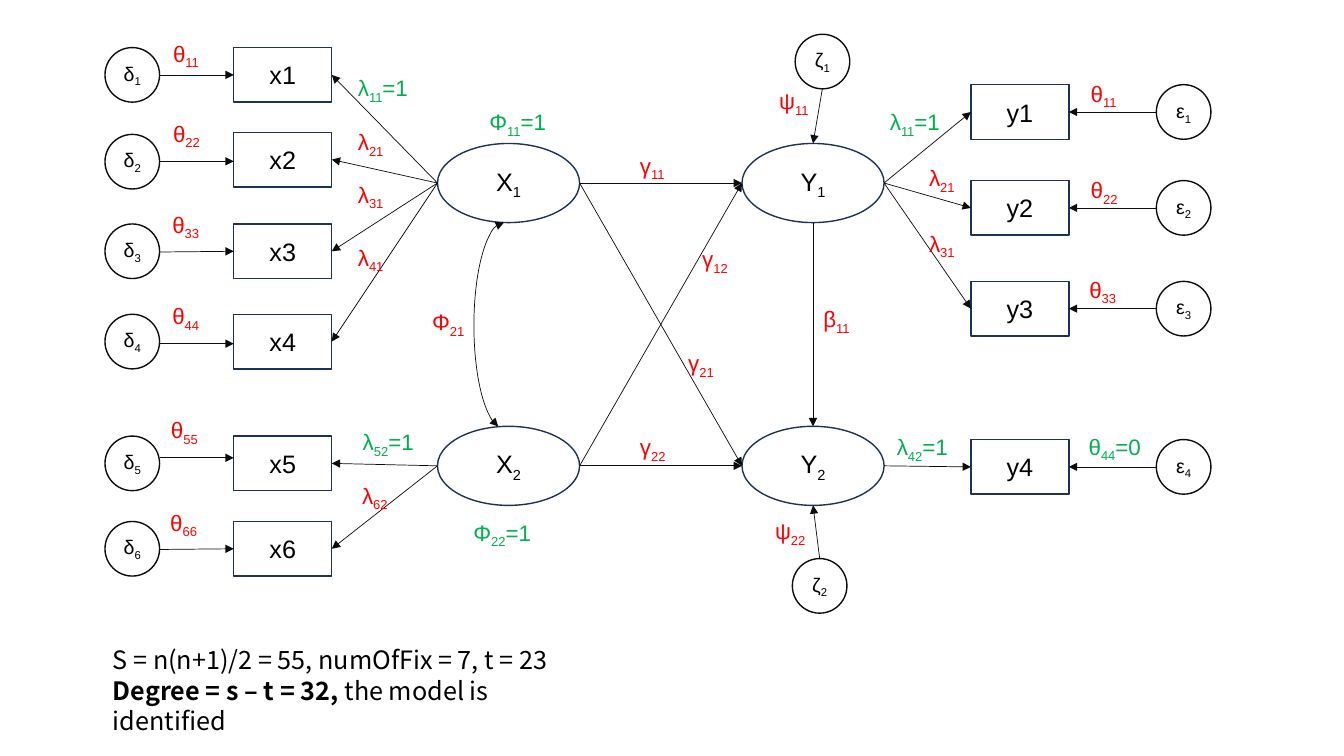
from lxml import etree
from pptx import Presentation
from pptx.dml.color import RGBColor
from pptx.enum.shapes import MSO_CONNECTOR as Link, MSO_SHAPE as Preset
from pptx.enum.text import MSO_ANCHOR as Anchor, MSO_AUTO_SIZE as Fit, PP_ALIGN as Align
from pptx.oxml.ns import qn
from pptx.util import Pt

COLORS = {"ink": "000000", "edge": "0D0D0D", "navy": "1E3256",
          "free": "FF0000", "fixed": "00B050"}
LEFT, RIGHT = 1, 3
BOX_W, BOX_H, CIRCLE = 70, 39, 39
OVAL_W, OVAL_H = 101.5, 56.5


class PathDiagram:
    """Holds the fonts and the slide, and draws the parts of a path diagram."""

    def __init__(self, slide, font, note_font):
        self.slide, self.shapes = slide, slide.shapes
        self.font, self.note_font = font, note_font

    def color(self, name):
        return RGBColor.from_string(COLORS[name])

    def style(self, run, size, color, font=None, bold=False):
        run.font.name, run.font.size = font or self.font, Pt(size)
        run.font.bold = bold
        run.font.color.rgb = self.color(color)

    def term(self, paragraph, parts, size, color):
        for position, part in enumerate(parts.split("|")):
            run = paragraph.add_run()
            run.text = part
            self.style(run, size, color)
            if position == 1:
                run.font._element.set("baseline", "-25000")

    def outline(self, shape, color, weight):
        shape.shadow.inherit = False
        shape.fill.background()
        shape.line.color.rgb = self.color(color)
        shape.line.width = Pt(weight)

    def node(self, preset, parts, left, top, width, height, size=18, edge="navy"):
        node = self.shapes.add_shape(preset, Pt(left), Pt(top), Pt(width), Pt(height))
        self.outline(node, edge, 1)
        frame = node.text_frame
        frame.word_wrap, frame.vertical_anchor = False, Anchor.MIDDLE
        frame.paragraphs[0].alignment = Align.CENTER
        self.term(frame.paragraphs[0], parts, size, "ink")
        return node

    def indicator(self, name, left, top):
        return self.node(Preset.RECTANGLE, name, left, top, BOX_W, BOX_H)

    def latent(self, parts, left, top):
        return self.node(Preset.OVAL, parts, left, top, OVAL_W, OVAL_H)

    def error(self, parts, left, top):
        return self.node(Preset.OVAL, parts, left, top, CIRCLE, CIRCLE, 14, "edge")

    def arrowhead(self, shape, *ends):
        line = shape.line._get_or_add_ln()
        for end in ends:
            etree.SubElement(line, qn(f"a:{end}End")).set("type", "triangle")

    def arrow(self, start, end, target=None, side=None):
        arrow = self.shapes.add_connector(Link.STRAIGHT, *map(Pt, start + end))
        arrow.line.color.rgb = self.color("edge")
        arrow.line.width = Pt(0.5)
        self.arrowhead(arrow, "tail")
        etree.SubElement(arrow._element.spPr, qn("a:effectLst"))
        if target is not None:
            arrow.end_connect(target, side)

    def covariance(self, left, top, width, height):
        arc = self.shapes.add_shape(Preset.ARC, Pt(left), Pt(top), Pt(width), Pt(height))
        arc.adjustments[0], arc.adjustments[1] = 162, 52.05
        arc._element.spPr.xfrm.set("flipH", "1")
        self.outline(arc, "edge", 0.5)
        self.arrowhead(arc, "head", "tail")

    def text_frame(self, left, top, width, height):
        box = self.shapes.add_textbox(Pt(left), Pt(top), Pt(width), Pt(height))
        box.text_frame.word_wrap = True
        box.text_frame.auto_size = Fit.SHAPE_TO_FIT_TEXT
        return box.text_frame

    def parameter(self, parts, left, top, width=70):
        frame = self.text_frame(left, top, width, 26.5)
        self.term(frame.paragraphs[0], parts, 16, "fixed" if "=" in parts else "free")

    def note(self, lines, left, top, width, height):
        frame = self.text_frame(left, top, width, height)
        for position, line in enumerate(lines):
            paragraph = frame.add_paragraph() if position else frame.paragraphs[0]
            for words, bold in line:
                run = paragraph.add_run()
                run.text = words
                self.style(run, 18, "ink", self.note_font, bold)


def main():
    deck = Presentation()
    deck.slide_width, deck.slide_height = Pt(960), Pt(540)
    diagram = PathDiagram(deck.slides.add_slide(deck.slide_layouts[6]),
                          "Arial", "Noto Sans CJK SC")

    x_left, y_left, latent_tops = 312.5, 530, (102.5, 304.5)
    x_right, y_right, y_middle = x_left + OVAL_W, y_left + OVAL_W, y_left + OVAL_W / 2
    levels = [top + OVAL_H / 2 for top in latent_tops]
    for number, top in enumerate(latent_tops, 1):
        diagram.latent(f"X|{number}", x_left, top)
        diagram.latent(f"Y|{number}", y_left, top)
    for cause in levels:
        for effect in levels:
            diagram.arrow((x_right, cause), (y_left, effect))
    diagram.arrow((y_middle, latent_tops[0] + OVAL_H), (y_middle, latent_tops[1]))
    diagram.covariance(338.5, 159, 43, 147)

    delta_left, x_box_left = 75, 167
    x_rows = [
        (0, 34, 34, 53.5, "λ|11|=1", (248.5, 49.5), (116.5, 25)),
        (0, 94.5, 96, 115.2, "λ|21", (248.5, 88), (116.5, 82)),
        (0, 160, 160, 180, "λ|31", (248.5, 125.5), (116, 147)),
        (0, 224.5, 224.5, 245.5, "λ|41", (248.5, 170.5), (116, 212.5)),
        (1, 311.5, 311.5, 327, "λ|52|=1", (252, 302.5), (115, 294)),
        (1, 372.5, 372.5, 392.5, "λ|62", (251.5, 340.5), (114.5, 360)),
    ]
    for number, row in enumerate(x_rows, 1):
        factor, box_top, circle_top, error_level, loading, loading_at, theta_at = row
        box = diagram.indicator(f"x{number}", x_box_left, box_top)
        middle = box_top + BOX_H / 2
        diagram.error(f"δ|{number}", delta_left, circle_top)
        diagram.arrow((x_left, levels[factor]), (x_box_left + BOX_W, middle), box, RIGHT)
        centred = abs(error_level - middle) < 1
        diagram.arrow((delta_left + CIRCLE, error_level), (x_box_left, error_level),
                      box if centred else None, LEFT)
        diagram.parameter(loading, *loading_at)
        diagram.parameter(f"θ|{number}{number}", *theta_at)

    y_box_left, epsilon_left = 693.5, 826
    y_rows = [
        (0, 60.5, "λ|11|=1", (628.5, 74), "θ|11", (772, 53.5)),
        (0, 129, "λ|21", (656.5, 114), "θ|22", (772, 122.5)),
        (0, 201, "λ|31", (656.5, 160.5), "θ|33", (771, 193.5)),
        (1, 314, "λ|42|=1", (633.5, 306), "θ|44|=0", (770.5, 305.5)),
    ]
    for number, row in enumerate(y_rows, 1):
        factor, top, loading, loading_at, theta, theta_at = row
        box = diagram.indicator(f"y{number}", y_box_left, top)
        middle = top + BOX_H / 2
        diagram.error(f"ε|{number}", epsilon_left, top)
        diagram.arrow((y_right, levels[factor]), (y_box_left, middle), box, LEFT)
        diagram.arrow((epsilon_left, middle), (y_box_left + BOX_W, middle), box, RIGHT)
        diagram.parameter(loading, *loading_at)
        diagram.parameter(theta, *theta_at)

    diagram.error("ζ|1", 568, 24.5)
    diagram.arrow((587.5, 63), (y_middle, latent_tops[0]))
    diagram.error("ζ|2", 566, 399)
    diagram.arrow((585.5, 399), (y_middle, latent_tops[1] + OVAL_H))

    for parts, left, top, width in [
        ("γ|11", 450, 105, 40), ("γ|22", 450, 306, 40), ("γ|12", 494.5, 171.5, 44.5),
        ("γ|21", 484.5, 246, 44.5), ("β|11", 581, 214.5, 40), ("Φ|11|=1", 342.5, 74, 70),
        ("Φ|22|=1", 331, 367, 70), ("Φ|21", 301.5, 216.5, 43), ("ψ|11", 549.5, 59, 40),
        ("ψ|22", 546.5, 366, 40),
    ]:
        diagram.parameter(parts, left, top, width)

    diagram.note([
        [("S = n(n+1)/2 = 55, numOfFix = 7, t = 23", False)],
        [("Degree = s – t = 32, ", True), ("the model is identified", False)],
    ], 73.5, 457, 357, 51)
    deck.save("out.pptx")


if __name__ == "__main__":
    main()
